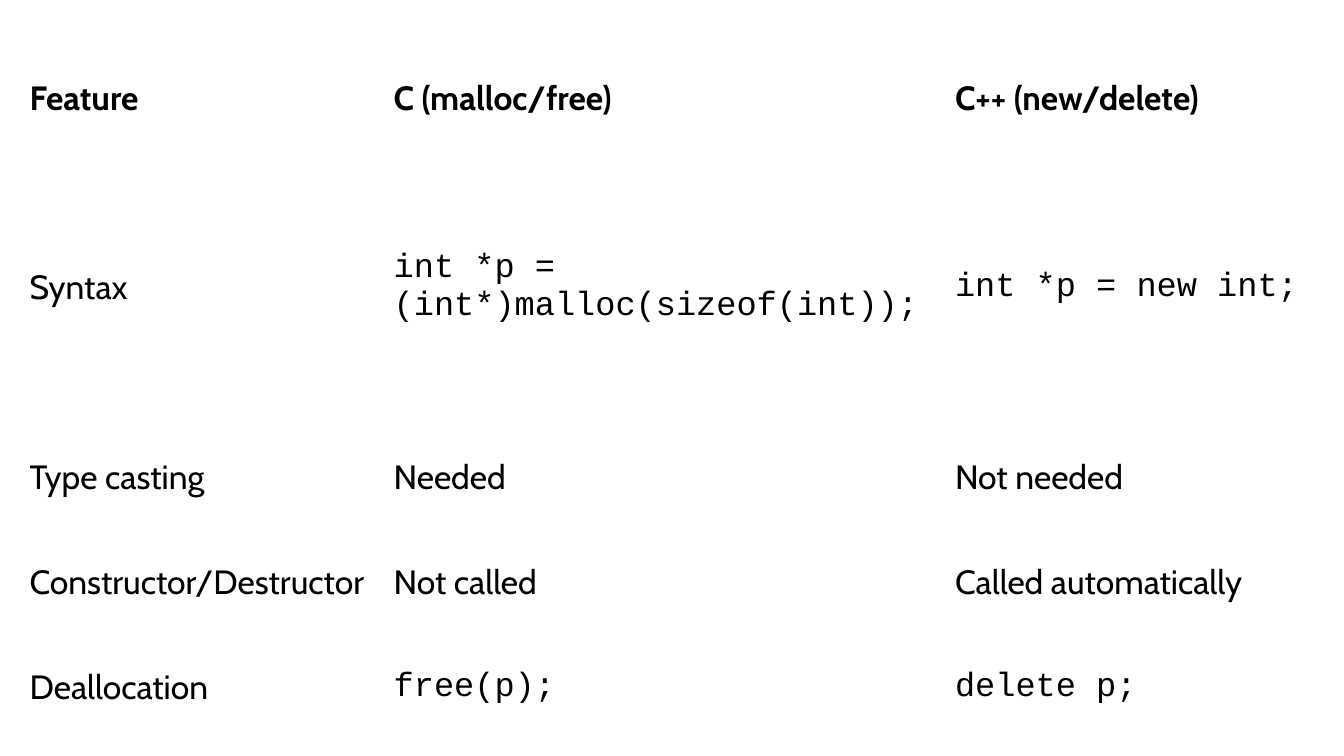
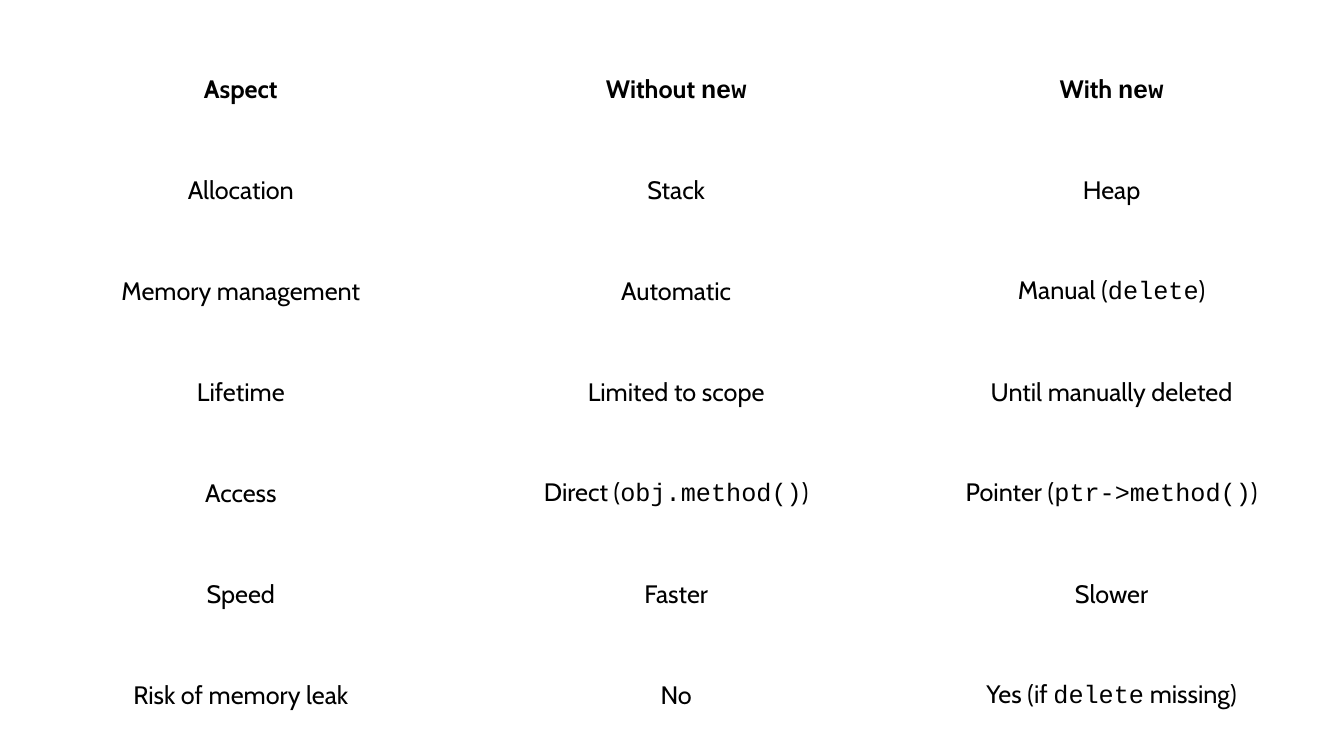
from pptx import Presentation
from pptx.dml.color import RGBColor
from pptx.enum.text import MSO_ANCHOR, PP_ALIGN
from pptx.util import Pt

BODY_FONT = "Cabin"
CODE_FONT = "Courier New"
INK = "000000"
PAPER = "FFFFFF"

ALLOCATION_ROWS = [
    ["Feature", "C (malloc/free)", "C++ (new/delete)"],
    ["Syntax", "`int *p = (int*)malloc(sizeof(int));`", "`int *p = new int;`"],
    ["Type casting", "Needed", "Not needed"],
    ["Constructor/Destructor", "Not called", "Called automatically"],
    ["Deallocation", "`free(p);`", "`delete p;`"],
]

OBJECT_ROWS = [
    ["Aspect", "Without `new`", "With `new`"],
    ["Allocation", "Stack", "Heap"],
    ["Memory management", "Automatic", "Manual (`delete`)"],
    ["Lifetime", "Limited to scope", "Until manually deleted"],
    ["Access", "Direct (`obj.method()`)", "Pointer (`ptr->method()`)"],
    ["Speed", "Faster", "Slower"],
    ["Risk of memory leak", "No", "Yes (if `delete` missing)"],
]


def color(hex_value):
    """Turn a hex string into a colour."""
    return RGBColor.from_string(hex_value)


def write(frame, text, size, bold=False, align=PP_ALIGN.LEFT):
    """Write text into a frame, setting parts between backticks as code."""
    paragraph = frame.paragraphs[0]
    paragraph.alignment = align
    for index, part in enumerate(text.split("`")):
        if part:
            run = paragraph.add_run()
            run.text = part
            run.font.name = CODE_FONT if index % 2 else BODY_FONT
            run.font.size = Pt(size)
            run.font.bold = bold
            run.font.color.rgb = color(INK)


def add_comparison(slide, rows, left, top, widths, heights, size, align):
    """Place a plain comparison table with a bold heading row."""
    table = slide.shapes.add_table(
        len(rows), len(widths), Pt(left), Pt(top), Pt(sum(widths)), Pt(sum(heights))
    ).table
    table.horz_banding = False
    for column, width in zip(table.columns, widths):
        column.width = Pt(width)
    for row_index, (row, height, texts) in enumerate(zip(table.rows, heights, rows)):
        row.height = Pt(height)
        for cell, text in zip(row.cells, texts):
            cell.fill.background()
            cell.vertical_anchor = MSO_ANCHOR.MIDDLE
            write(cell.text_frame, text, size, bold=row_index == 0, align=align)


def add_slide(deck):
    """Add a blank slide with the shared background."""
    slide = deck.slides.add_slide(deck.slide_layouts[6])
    slide.background.fill.solid()
    slide.background.fill.fore_color.rgb = color(PAPER)
    return slide


def main():
    """Build and save both comparison slides."""
    deck = Presentation()
    deck.slide_width, deck.slide_height = Pt(960), Pt(540)
    add_comparison(
        add_slide(deck), ALLOCATION_ROWS, left=14, top=32.5,
        widths=[260, 401, 263], heights=[75, 196, 75, 75, 75],
        size=24, align=PP_ALIGN.LEFT,
    )
    add_comparison(
        add_slide(deck), OBJECT_ROWS, left=16.5, top=28,
        widths=[311] * 3, heights=[72.1] * len(OBJECT_ROWS),
        size=18, align=PP_ALIGN.CENTER,
    )
    deck.save("out.pptx")


if __name__ == "__main__":
    main()
